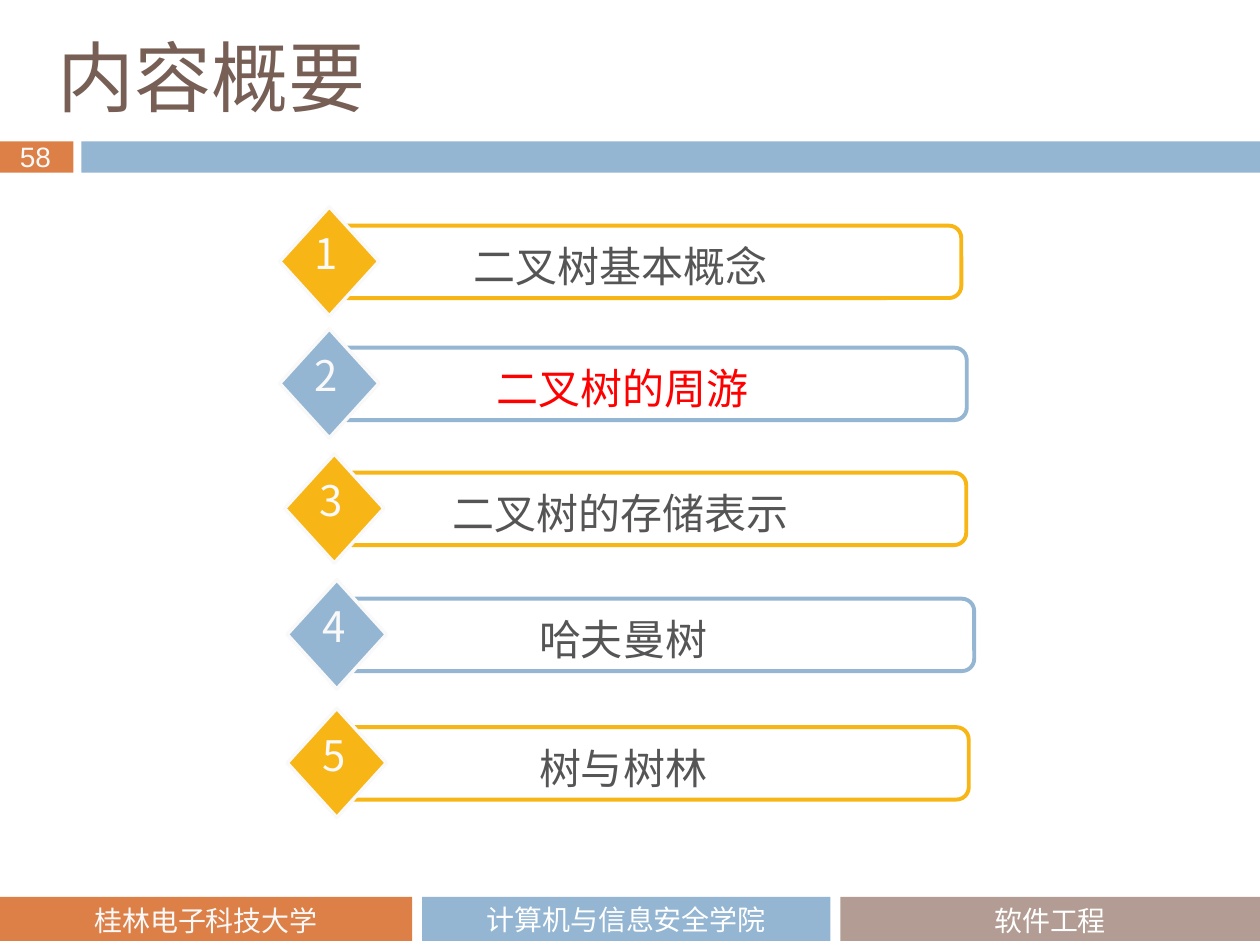
import dataclasses

import pptx
import pptx.dml.color
import pptx.enum.shapes
import pptx.enum.text
import pptx.oxml
import pptx.oxml.ns
import pptx.util

Cm = pptx.util.Cm
Pt = pptx.util.Pt
SHAPE = pptx.enum.shapes.MSO_SHAPE
ALIGN = pptx.enum.text.PP_ALIGN
ANCHOR = pptx.enum.text.MSO_ANCHOR

COLORS = {
    "orange": "DD8047", "blue": "94B6D2", "taupe": "B29C93", "gold": "F7B615",
    "brown": "775F55", "gray": "555555", "red": "FF0000",
    "white": "FFFFFF", "offwhite": "F9F9F9",
}
CJK_FONT = "Noto Sans CJK SC"


@dataclasses.dataclass
class Box:
    left: float
    top: float
    width: float
    height: float

    def lengths(self):
        return Cm(self.left), Cm(self.top), Cm(self.width), Cm(self.height)


@dataclasses.dataclass
class Style:
    size: float
    color: str
    latin: str = CJK_FONT
    east_asian: str = CJK_FONT
    align: int = ALIGN.CENTER


@dataclasses.dataclass
class Topic:
    title: str
    left: float
    top: float
    color: str
    width: float
    text_color: str = "gray"
    label_offset: float = 0.66
    label_width: float = 9.98


@dataclasses.dataclass
class FooterBand:
    text: str
    left: float
    width: float
    color: str
    text_color: str = "white"
    middle: bool = False


FOOTER = [
    FooterBand("桂林电子科技大学", 0, 8.31, "orange", "offwhite"),
    FooterBand("计算机与信息安全学院", 8.51, 8.23, "blue", middle=True),
    FooterBand("软件工程", 16.94, 8.46, "taupe"),
]
TOPICS = [
    Topic(" 二叉树基本概念", 6.76, 4.55, "gold", 12.62),
    Topic("二叉树的周游", 6.76, 7.01, "blue", 12.73, "red", 1.37, 8.84),
    Topic("二叉树的存储表示", 6.86, 9.53, "gold", 12.62),
    Topic("哈夫曼树", 6.91, 12.07, "blue", 12.73),
    Topic("树与树林", 6.91, 14.66, "gold", 12.62),
]


def rgb(name: str):
    return pptx.dml.color.RGBColor.from_string(COLORS[name])


def write(frame, text: str, style: Style) -> None:
    frame.text = text
    paragraph = frame.paragraphs[0]
    paragraph.alignment = style.align
    font = paragraph.runs[0].font
    font.size = Pt(style.size)
    font.color.rgb = rgb(style.color)
    font.name = style.latin
    properties = paragraph.runs[0]._r.get_or_add_rPr()
    east_asian = pptx.oxml.parse_xml(
        f'<a:ea {pptx.oxml.ns.nsdecls("a")} typeface="{style.east_asian}"/>')
    properties.find(pptx.oxml.ns.qn("a:latin")).addnext(east_asian)


def add_text(slide, box: Box, text: str, style: Style, wrap: bool = True) -> None:
    frame = slide.shapes.add_textbox(*box.lengths()).text_frame
    frame.word_wrap = wrap
    write(frame, text, style)


def add_figure(slide, kind, box: Box, fill: str = "", line: str = "",
               line_width: float = 0):
    """Draw a preset shape; an empty colour name means no fill or no line."""
    figure = slide.shapes.add_shape(kind, *box.lengths())
    figure.shadow.inherit = False
    if fill:
        figure.fill.solid()
        figure.fill.fore_color.rgb = rgb(fill)
    else:
        figure.fill.background()
    if line:
        figure.line.color.rgb = rgb(line)
        figure.line.width = Pt(line_width)
    else:
        figure.line.fill.background()
    return figure


def add_footer_band(slide, band: FooterBand) -> None:
    bar = add_figure(slide, SHAPE.RECTANGLE,
                     Box(band.left, 18.08, band.width, 0.89), band.color)
    style = Style(16, band.text_color, "Calibri")
    if band.middle:
        bar.text_frame.vertical_anchor = ANCHOR.MIDDLE
        write(bar.text_frame, band.text, style)
    else:
        add_text(slide, Box(band.left, 18.08, band.width, 0.81), band.text, style)


def add_topic(slide, number: int, topic: Topic) -> None:
    left, top = topic.left, topic.top
    frame = add_figure(slide, SHAPE.ROUNDED_RECTANGLE,
                       Box(left, top, topic.width, 1.46),
                       line=topic.color, line_width=2.25)
    frame.adjustments[0] = 0.17
    add_figure(slide, SHAPE.DIAMOND, Box(left - 1.12, top - 0.38, 2, 2.2),
               topic.color, "offwhite", 2)
    add_text(slide, Box(left + topic.label_offset, top + 0.18, topic.label_width, 1.27),
             topic.title, Style(24, topic.text_color))
    add_text(slide, Box(left - 0.66, top - 0.08, 0.94, 1.27),
             str(number), Style(24, "offwhite"), wrap=False)


def add_header(slide) -> None:
    add_figure(slide, SHAPE.RECTANGLE, Box(0, 2.85, 1.48, 0.63), "orange")
    add_figure(slide, SHAPE.RECTANGLE, Box(1.64, 2.85, 23.76, 0.63), "blue")
    add_text(slide, Box(0.15, 2.69, 1.22, 0.94), "58",
             Style(16, "offwhite", "Arial", align=ALIGN.LEFT), wrap=False)
    title = slide.shapes.title
    title.left, title.top, title.width, title.height = Box(0.91, 0.69, 14.33, 1.68).lengths()
    title.text_frame.auto_size = pptx.enum.text.MSO_AUTO_SIZE.NONE
    title.text_frame.vertical_anchor = ANCHOR.MIDDLE
    write(title.text_frame, "内容概要",
          Style(44, "brown", "Noto Sans CJK JP", "Noto Sans CJK JP", ALIGN.LEFT))


def main() -> None:
    deck = pptx.Presentation()
    deck.slide_width, deck.slide_height = Cm(25.4), Cm(19.05)
    slide = deck.slides.add_slide(deck.slide_layouts[5])
    add_header(slide)
    for band in FOOTER:
        add_footer_band(slide, band)
    for number, topic in enumerate(TOPICS, start=1):
        add_topic(slide, number, topic)
    deck.save("out.pptx")


if __name__ == "__main__":
    main()
